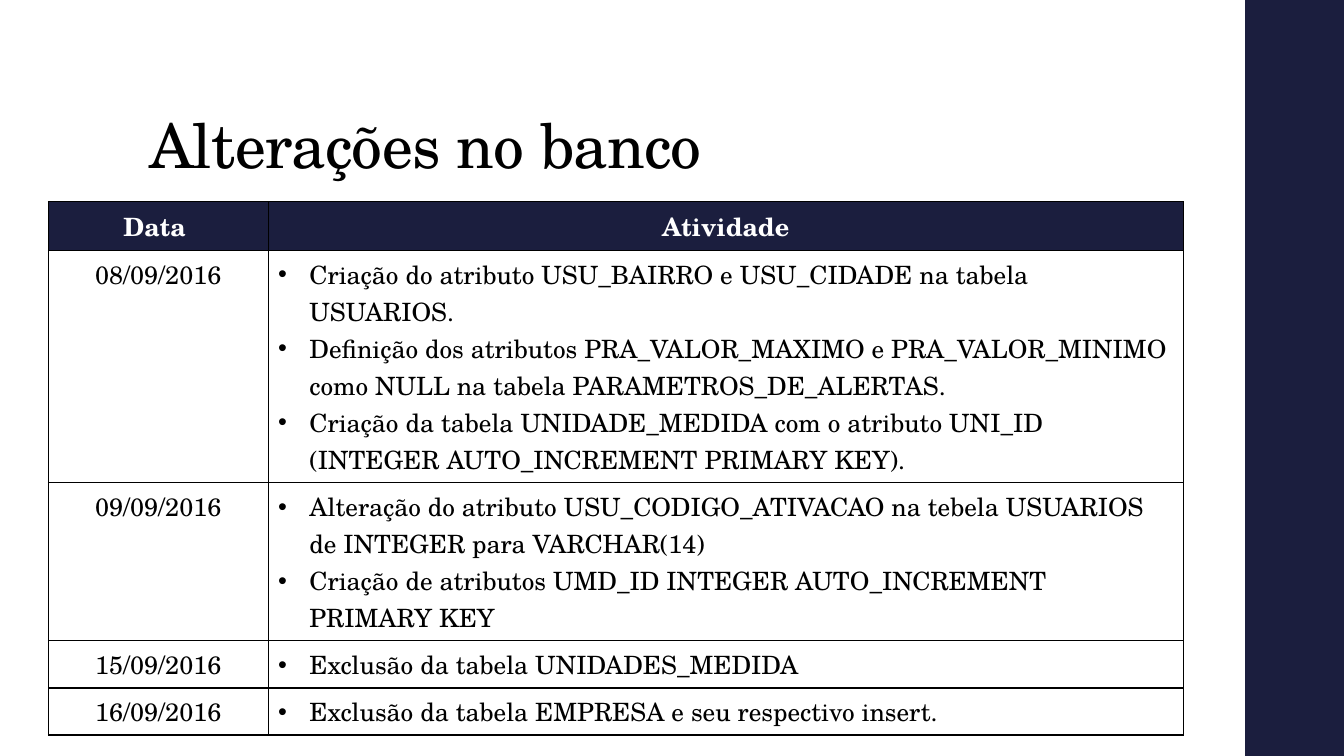
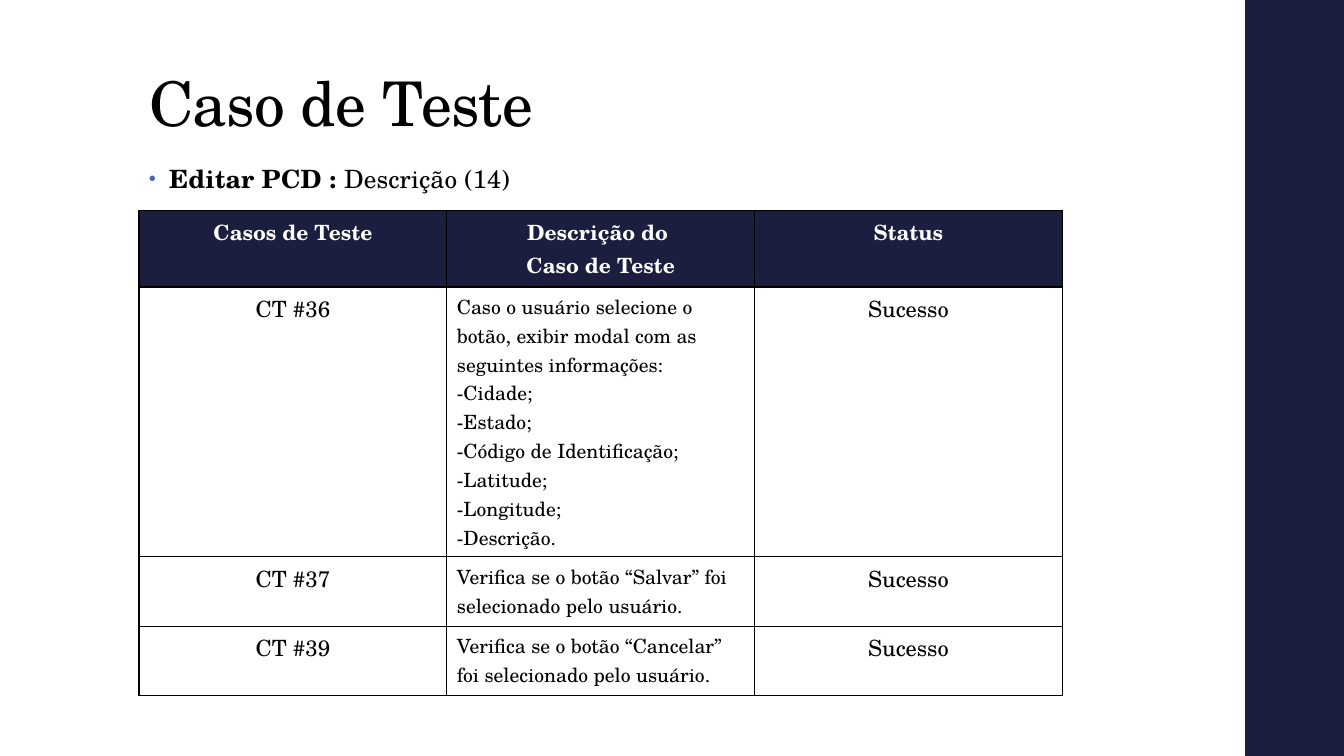
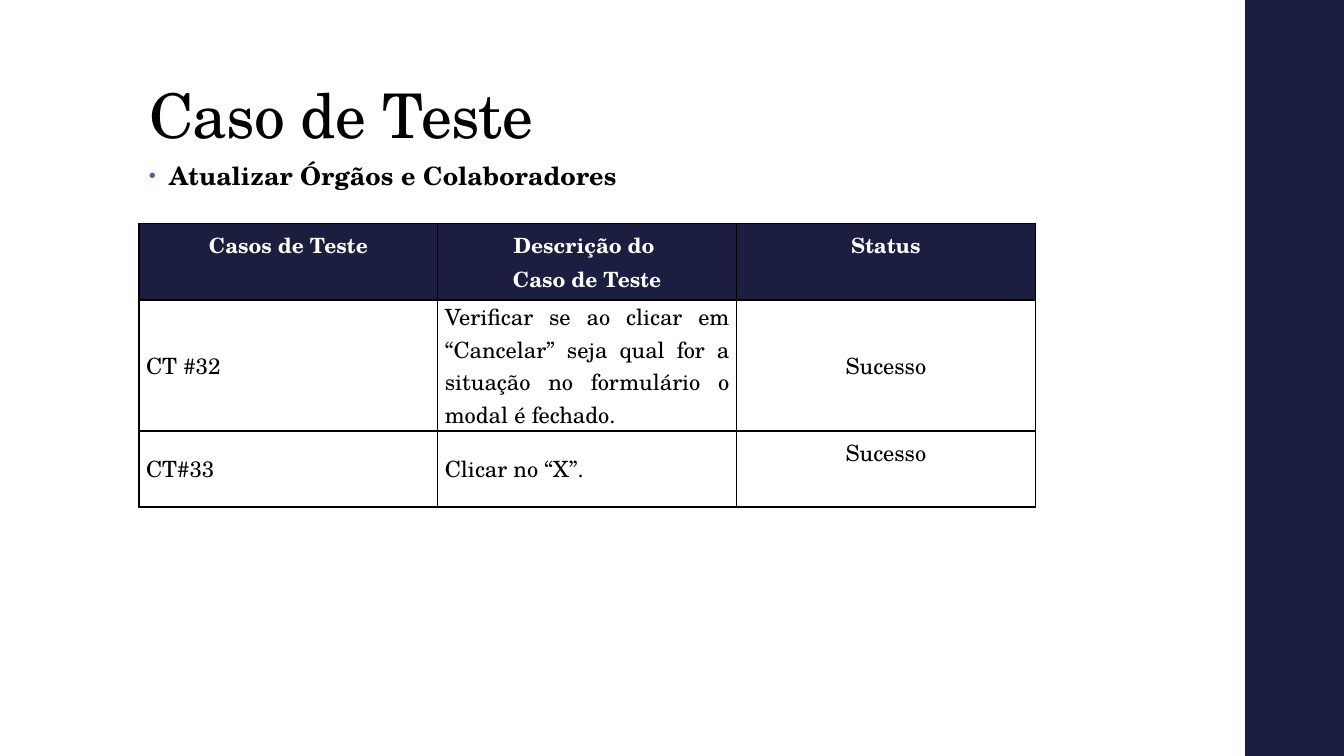
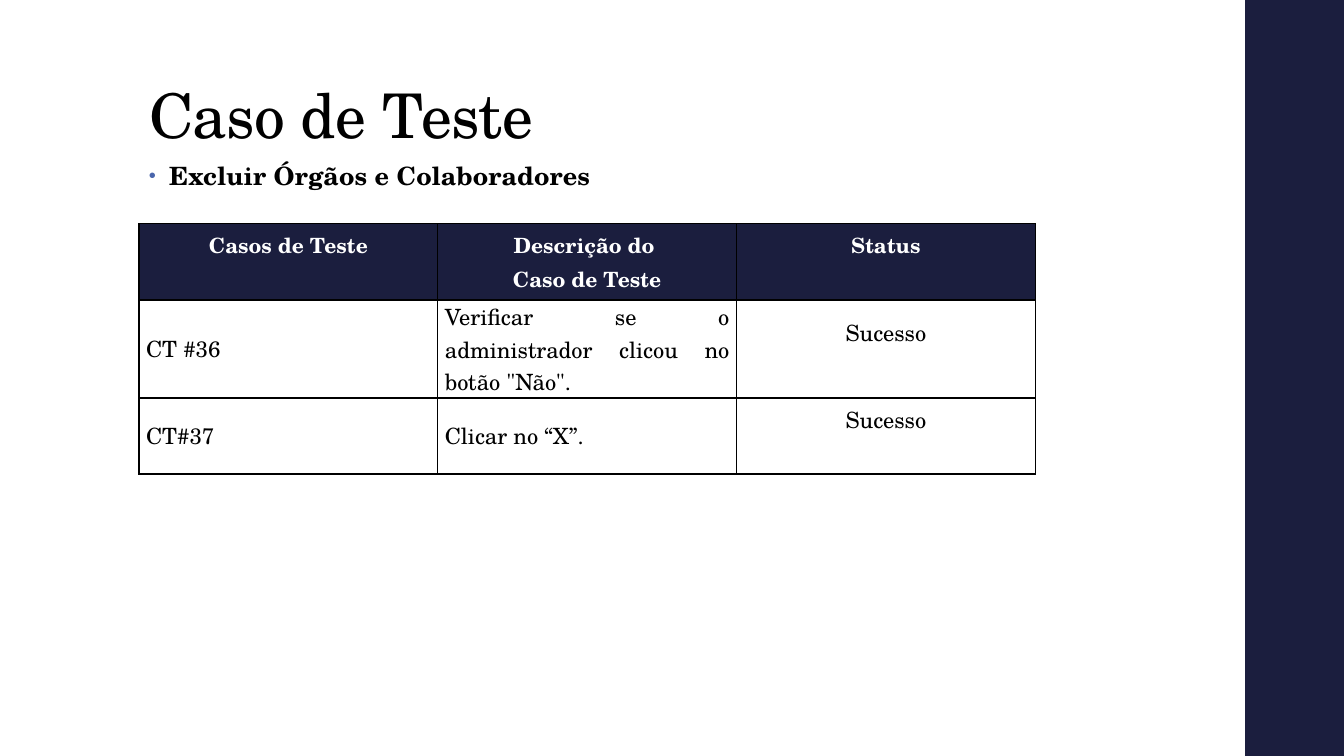
from dataclasses import dataclass
from typing import Optional

from lxml import etree
from pptx import Presentation
from pptx import util as u
from pptx.dml.color import RGBColor
from pptx.enum import shapes, text
from pptx.oxml import ns

COLORS = {"navy": "1B1E3E", "white": "FFFFFF", "black": "000000", "bullet": "4A66AC"}
FONT = "TeX Gyre Schola"
WIDTH, HEIGHT = u.Inches(13.33), u.Inches(7.5)
LEFT = 10.35
CENTER, JUSTIFY, START = text.PP_ALIGN.CENTER, text.PP_ALIGN.JUSTIFY, text.PP_ALIGN.LEFT
TOP, MIDDLE = text.MSO_ANCHOR.TOP, text.MSO_ANCHOR.MIDDLE


@dataclass(frozen=True)
class Frame:
    left: float
    top: float
    width: float
    height: float


@dataclass(frozen=True)
class CellStyle:
    size: float
    align: text.PP_ALIGN = CENTER
    anchor: text.MSO_ANCHOR = TOP
    color: str = "black"
    fill: str = "white"
    bold: bool = False
    bulleted: bool = False
    leading: Optional[float] = None
    margins: tuple[float, float, float, float] = (0.1, 0.05, 0.1, 0.05)


@dataclass(frozen=True)
class Row:
    height: float
    texts: tuple[str, ...]
    styles: tuple[CellStyle, ...]


@dataclass(frozen=True)
class Grid:
    left: float
    top: float
    columns: tuple[float, ...]
    rows: tuple[Row, ...]


@dataclass(frozen=True)
class Subtitle:
    top: float
    strong: str
    plain: str = ""


@dataclass(frozen=True)
class Content:
    title: str
    title_frame: Frame
    grid: Grid
    subtitle: Optional[Subtitle] = None


def across(percent: float) -> int:
    return round(WIDTH * percent / 100)


def down(percent: float) -> int:
    return round(HEIGHT * percent / 100)


def bounds(frame: Frame) -> tuple[int, int, int, int]:
    return across(frame.left), down(frame.top), across(frame.width), down(frame.height)


def rgb(name: str) -> RGBColor:
    return RGBColor.from_string(COLORS[name])


def add_child(parent, tag: str, **attributes: str):
    return etree.SubElement(parent, ns.qn(tag), attributes)


def format_span(span, size: float, color: str = "black", bold: bool = False,
                tracking: Optional[int] = None) -> None:
    span.font.name = FONT
    span.font.size = u.Pt(size)
    span.font.bold = bold
    span.font.color.rgb = rgb(color)
    if tracking is not None:
        span._r.get_or_add_rPr().set("spc", str(tracking))


def add_bullet(para, indent: float, color: Optional[str] = None,
               percent: Optional[int] = None) -> None:
    properties = para._p.get_or_add_pPr()
    properties.set("marL", str(u.Inches(indent)))
    properties.set("indent", str(-u.Inches(indent)))
    if color:
        add_child(add_child(properties, "a:buClr"), "a:srgbClr", val=COLORS[color])
    if percent:
        add_child(properties, "a:buSzPct", val=str(percent * 1000))
    add_child(properties, "a:buFont", typeface="Arial")
    add_child(properties, "a:buChar", char="•")


def add_borders(cell) -> None:
    properties = cell._tc.get_or_add_tcPr()
    for side in "LRTB":
        line = add_child(properties, f"a:ln{side}", w=str(u.Pt(1)))
        add_child(add_child(line, "a:solidFill"), "a:srgbClr", val=COLORS["black"])


def fill_cell(cell, content: str, style: CellStyle) -> None:
    add_borders(cell)
    cell.fill.solid()
    cell.fill.fore_color.rgb = rgb(style.fill)
    cell.vertical_anchor = style.anchor
    (cell.margin_left, cell.margin_top,
     cell.margin_right, cell.margin_bottom) = map(u.Inches, style.margins)
    cell.text_frame.text = content
    for para in cell.text_frame.paragraphs:
        if style.bulleted:
            add_bullet(para, 0.31)
        para.alignment = style.align
        if style.leading:
            para.line_spacing = u.Pt(style.leading)
        for span in para.runs:
            format_span(span, style.size, style.color, style.bold)


def draw_grid(page, grid: Grid) -> None:
    frame = Frame(grid.left, grid.top, sum(grid.columns), sum(row.height for row in grid.rows))
    table = page.shapes.add_table(len(grid.rows), len(grid.columns), *bounds(frame)).table
    table.horz_banding = False
    for column, width in zip(table.columns, grid.columns):
        column.width = across(width)
    for index, row in enumerate(grid.rows):
        table.rows[index].height = down(row.height)
        for position, (content, style) in enumerate(zip(row.texts, row.styles)):
            fill_cell(table.cell(index, position), content, style)


def draw_title(page, content: Content) -> None:
    title = page.shapes.title
    title.left, title.top, title.width, title.height = bounds(content.title_frame)
    frame = title.text_frame
    frame.text = content.title
    frame.auto_size = text.MSO_AUTO_SIZE.NONE
    frame.vertical_anchor = text.MSO_ANCHOR.BOTTOM
    para = frame.paragraphs[0]
    para.alignment = START
    para.line_spacing = 0.9
    format_span(para.runs[0], 44, tracking=-50)


def draw_subtitle(page, subtitle: Subtitle) -> None:
    box = page.shapes.add_textbox(*bounds(Frame(LEFT, subtitle.top, 70.5, 63.47)))
    box.text_frame.word_wrap = True
    para = box.text_frame.paragraphs[0]
    add_bullet(para, 0.2, "bullet", 80)
    para.line_spacing = 0.95
    para.space_after = u.Pt(2)
    for content, bold in ((subtitle.strong, True), (subtitle.plain, False)):
        if content:
            span = para.add_run()
            span.text = content
            format_span(span, 18, bold=bold, tracking=10)


def add_band(deck, page) -> None:
    band = page.shapes.add_shape(shapes.MSO_SHAPE.RECTANGLE, *bounds(Frame(92.65, 0, 7.5, 100)))
    band.shadow.inherit = False
    band.fill.solid()
    band.fill.fore_color.rgb = rgb("navy")
    band.line.fill.background()
    deck.slide_master.shapes.element.insert(2, band.element)


HEADER = CellStyle(15, color="white", fill="navy", bold=True, leading=23.6)
LOG_HEADER = CellStyle(18, color="white", fill="navy", bold=True)
LOG_STYLES = (CellStyle(18), CellStyle(18, START, bulleted=True))
CASE_STYLES = (CellStyle(16), CellStyle(14, START), CellStyle(16))
SNUG = CellStyle(16, JUSTIFY, MIDDLE, margins=(0.07, 0, 0.07, 0))
CENTERED = CellStyle(16, anchor=MIDDLE)
RAISED = CellStyle(16, anchor=MIDDLE, margins=(0.1, 0.05, 0.1, 0.38))

CASE_HEADER = Row(10.05, ("Casos de Teste", "Descrição do \nCaso de Teste", "Status"), (HEADER,) * 3)
TITLE_FRAME = Frame(LEFT, 1.47, 79.5, 19.33)


def log_row(height: float, date: str, *activities: str) -> Row:
    return Row(height, (date, "\n".join(activities)), LOG_STYLES)


def case_row(height: float, case: str, description: str) -> Row:
    return Row(height, (case, description, "Sucesso"), CASE_STYLES)


def snug_row(height: float, case: str, description: str, status: CellStyle = RAISED) -> Row:
    return Row(height, (case, description, "Sucesso"), (SNUG, SNUG, status))


def collaborators(action: str, *rows: Row) -> Content:
    return Content(
        "Caso de Teste", TITLE_FRAME,
        Grid(LEFT, 29.6, (22.23,) * 3, (CASE_HEADER, *rows)),
        Subtitle(20.8, f"{action} Órgãos e Colaboradores"))


CONTENTS = (
    Content("Alterações no banco", Frame(LEFT, 5.33, 79.5, 19.33), Grid(3.6, 26.67, (16.35, 68.1), (
        Row(6.48, ("Data ", "Atividade"), (LOG_HEADER,) * 2),
        log_row(30.68, "08/09/2016",
                "Criação do atributo USU_BAIRRO e USU_CIDADE na tabela USUARIOS.",
                "Definição dos atributos PRA_VALOR_MAXIMO e PRA_VALOR_MINIMO como NULL "
                "na tabela PARAMETROS_DE_ALERTAS.",
                "Criação da tabela UNIDADE_MEDIDA com o atributo UNI_ID "
                "(INTEGER AUTO_INCREMENT PRIMARY KEY)."),
        log_row(20.9, "09/09/2016",
                "Alteração do atributo USU_CODIGO_ATIVACAO na tebela USUARIOS "
                "de INTEGER para VARCHAR(14)",
                "Criação de atributos UMD_ID INTEGER AUTO_INCREMENT PRIMARY KEY"),
        log_row(6.22, "15/09/2016", "Exclusão da tabela UNIDADES_MEDIDA"),
        log_row(6.22, "16/09/2016", "Exclusão da tabela EMPRESA e seu respectivo insert."),
    ))),
    Content("Caso de Teste", Frame(LEFT, 8.27, 31.35, 10.93), Grid(LEFT, 27.87, (22.9,) * 3, (
        CASE_HEADER,
        case_row(35.7, "CT #36",
                 "Caso o usuário selecione o botão, exibir modal com as seguintes informações:\n"
                 "-Cidade;\n-Estado;\n-Código de Identificação;\n-Latitude;\n-Longitude;\n-Descrição."),
        case_row(9.2, "CT #37", "Verifica se o botão “Salvar” foi selecionado pelo usuário."),
        case_row(9.2, "CT #39", "Verifica se o botão “Cancelar” foi selecionado pelo usuário."),
    )), Subtitle(21.2, "Editar PCD : ", "Descrição (14)")),
    collaborators(
        "Atualizar",
        snug_row(17.33, "CT #32", "Verificar se ao clicar em “Cancelar” seja qual for a situação "
                 "no formulário o modal é fechado.", CENTERED),
        snug_row(10.05, "CT#33", "Clicar no “X”.")),
    collaborators(
        "Excluir",
        snug_row(12.96, "CT #36", "Verificar se o administrador clicou no botão \"Não\"."),
        snug_row(10.05, "CT#37", "Clicar no “X”.")),
)


def main() -> None:
    deck = Presentation()
    deck.slide_width, deck.slide_height = WIDTH, HEIGHT
    layout = deck.slide_layouts.get_by_name("Title Only")
    for index, content in enumerate(CONTENTS):
        page = deck.slides.add_slide(layout)
        if index == 0:
            add_band(deck, page)
        draw_title(page, content)
        if content.subtitle:
            draw_subtitle(page, content.subtitle)
        draw_grid(page, content.grid)
    deck.save("out.pptx")


if __name__ == "__main__":
    main()
